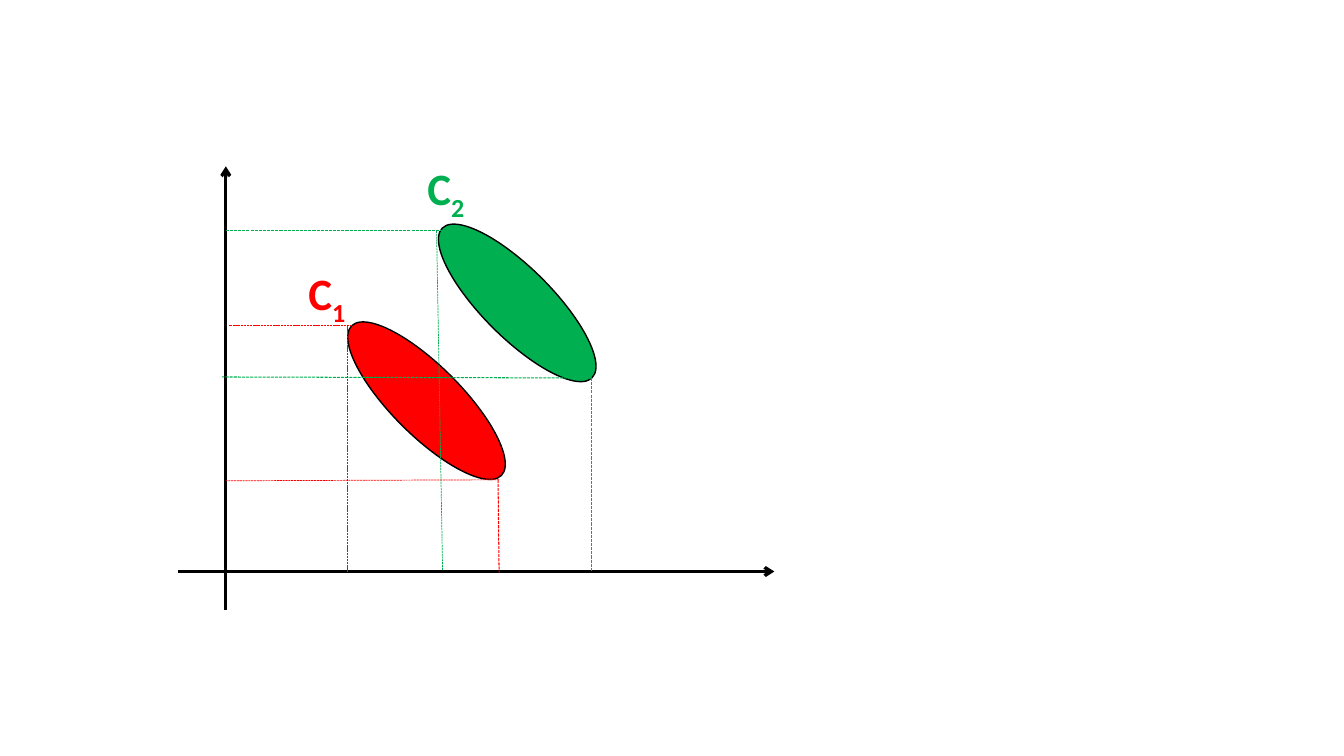
from lxml import etree
from pptx import Presentation
from pptx.dml.color import RGBColor
from pptx.enum.dml import MSO_LINE
from pptx.enum.shapes import MSO_CONNECTOR, MSO_SHAPE
from pptx.enum.text import MSO_AUTO_SIZE
from pptx.oxml.ns import qn
from pptx.util import Inches, Pt

STRAIGHT = MSO_CONNECTOR.STRAIGHT
ELLIPSE = MSO_SHAPE.OVAL
SHORT_DASH = MSO_LINE.SQUARE_DOT
FIT_SHAPE = MSO_AUTO_SIZE.SHAPE_TO_FIT_TEXT

BLACK, RED, GREEN = "000000", "FF0000", "00B050"

CLUSTERS = [
    {"number": "1", "color": RED, "ellipse": (3.18, 3.63), "label": (2.96, 2.59, 0.76)},
    {"number": "2", "color": GREEN, "ellipse": (4.08, 2.66), "label": (4.14, 1.55, 1.01)},
]

PROJECTIONS = [
    (GREEN, 0.75, (4.44, 2.29), (2.24, 2.29)),
    (GREEN, 0.5, (4.33, 2.29), (4.39, 5.66)),
    (GREEN, 0.75, (5.87, 3.75), (2.2, 3.74)),
    (GREEN, 0.75, (5.87, 3.75), (5.87, 5.67)),
    (RED, 0.5, (3.49, 3.23), (2.27, 3.23)),
    (RED, 0.5, (3.45, 3.22), (3.45, 5.68)),
    (RED, 0.5, (4.95, 4.76), (2.24, 4.77)),
    (RED, 0.75, (4.94, 4.76), (4.95, 5.68)),
]


def rgb(color):
    return RGBColor.from_string(color)


def add_line(slide, start, end, color, width, dash=None, arrow=False):
    connector = slide.shapes.add_connector(
        STRAIGHT, *(Inches(value) for value in (*start, *end)))
    connector.line.color.rgb = rgb(color)
    connector.line.width = Pt(width)
    if dash:
        connector.line.dash_style = dash
    if arrow:
        outline = connector.line._get_or_add_ln()
        etree.SubElement(outline, qn("a:tailEnd"), type="arrow")
    etree.SubElement(connector._element.spPr, qn("a:effectLst"))


def add_cluster(slide, left, top, color):
    cluster = slide.shapes.add_shape(
        ELLIPSE, Inches(left), Inches(top), Inches(2.1), Inches(0.69))
    cluster.rotation = 45
    cluster.shadow.inherit = False
    cluster.fill.solid()
    cluster.fill.fore_color.rgb = rgb(color)
    cluster.line.color.rgb = rgb(BLACK)
    cluster.line.width = Pt(1)


def add_run(paragraph, text, size=32, color=BLACK, bold=True, baseline=None):
    run = paragraph.add_run()
    run.text = text
    run.font.name = "Calibri"
    run.font.size = Pt(size)
    run.font.bold = bold
    run.font.color.rgb = rgb(color)
    if baseline is not None:
        run._r.get_or_add_rPr().set("baseline", str(baseline * 1000))


def add_label(slide, left, top, width, number, color):
    label = slide.shapes.add_textbox(
        Inches(left), Inches(top), Inches(width), Inches(0.64))
    frame = label.text_frame
    frame.word_wrap = True
    frame.auto_size = FIT_SHAPE
    add_run(frame.paragraphs[0], "C", color=color)
    add_run(frame.paragraphs[0], number, color=color, baseline=-25)


def main():
    prs = Presentation()
    prs.slide_width = Inches(13.33)
    prs.slide_height = Inches(7.5)
    slide = prs.slides.add_slide(prs.slide_layouts[6])

    add_line(slide, (1.77, 5.67), (7.68, 5.67), BLACK, 2.25, arrow=True)
    add_line(slide, (2.24, 6.05), (2.24, 1.65), BLACK, 2.25, arrow=True)
    for cluster in CLUSTERS:
        add_cluster(slide, *cluster["ellipse"], cluster["color"])
    for color, width, start, end in PROJECTIONS:
        add_line(slide, start, end, color, width, dash=SHORT_DASH)
    for cluster in CLUSTERS:
        add_label(slide, *cluster["label"], cluster["number"], cluster["color"])

    prs.save("out.pptx")


if __name__ == "__main__":
    main()
